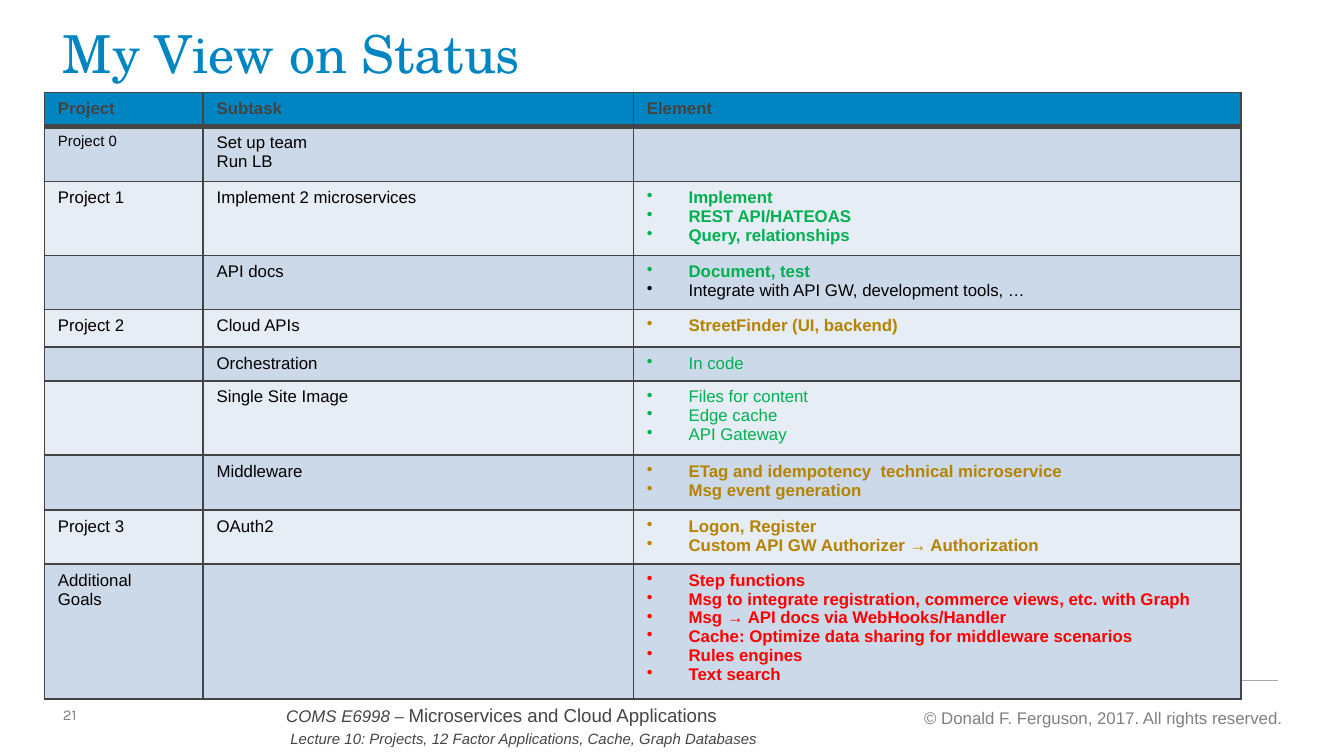
from lxml import etree
from pptx import Presentation
from pptx.dml.color import RGBColor
from pptx.enum import shapes, text
from pptx.oxml import parse_xml
from pptx.oxml.ns import nsdecls, qn
from pptx.util import Cm, Pt

BLUE, GREY, LIGHT_GREY = "0085C3", "444444", "808080"
BLACK, GREEN, AMBER, RED = "000000", "00B050", "B58300", "FF0000"
BANDS = ["E7EDF5", "CCD9E9"]

HEADINGS = ["Project", "Subtask", "Element"]
COLUMN_WIDTHS = [3, 8.13, 11.48]
HEADER_HEIGHT = 0.61

# height, project, subtask lines, elements as (text, colour, bold)
STATUS = [
    (1.04, "Project 0", ["Set up team", "Run LB"], []),
    (1.32, "Project 1", ["Implement 2 microservices"],
     [("Implement", GREEN, True),
      ("REST API/HATEOAS", GREEN, True),
      ("Query, relationships", GREEN, True)]),
    (0.97, "", ["API docs"],
     [("Document, test", GREEN, True),
      ("Integrate with API GW, development tools, …", BLACK, False)]),
    (0.71, "Project 2", ["Cloud APIs"],
     [("StreetFinder (UI, backend)", AMBER, True)]),
    (0.64, "", ["Orchestration"], [("In code", GREEN, False)]),
    (1.32, "", ["Single Site Image"],
     [("Files for content", GREEN, False),
      ("Edge cache", GREEN, False),
      ("API Gateway", GREEN, False)]),
    (1.04, "", ["Middleware"],
     [("ETag and idempotency  technical microservice", AMBER, True),
      ("Msg event generation", AMBER, True)]),
    (1.02, "Project 3", ["OAuth2"],
     [("Logon, Register", AMBER, True),
      ("Custom API GW Authorizer → Authorization", AMBER, True)]),
    (2.4, "Additional\nGoals", [],
     [("Step functions", RED, True),
      ("Msg to integrate registration, commerce views, etc. with Graph", RED, True),
      ("Msg → API docs via WebHooks/Handler", RED, True),
      ("Cache: Optimize data sharing for middleware scenarios", RED, True),
      ("Rules engines", RED, True),
      ("Text search", RED, True)]),
]


def rgb(value):
    return RGBColor.from_string(value)


def add_run(p, content, size, color, font="Arial", bold=False, italic=False):
    """Add a run; a newline in the content becomes a line break."""
    for i, line in enumerate(content.split("\n")):
        if i:
            p.add_line_break()
        r = p.add_run()
        r.text = line
        r.font.name = font
        r.font.size = Pt(size)
        r.font.bold = bold
        r.font.italic = italic
        r.font.color.rgb = rgb(color)


def add_text(slide, left, top, width, height, anchor=text.MSO_ANCHOR.TOP):
    """Add a text box without margins and return its first paragraph."""
    box = slide.shapes.add_textbox(Cm(left), Cm(top), Cm(width), Cm(height))
    tf = box.text_frame
    tf.word_wrap = True
    tf.vertical_anchor = anchor
    tf.margin_left = tf.margin_right = tf.margin_top = tf.margin_bottom = 0
    return tf.paragraphs[0]


def add_rule(slide, left, right, y):
    line = slide.shapes.add_connector(
        shapes.MSO_CONNECTOR.STRAIGHT, Cm(left), Cm(y), Cm(right), Cm(y))
    line.line.color.rgb = rgb("AAAAAA")
    line.line.width = Pt(0.75)
    etree.SubElement(line._element.spPr, qn("a:effectLst"))


def set_bullet(p):
    pPr = p._p.get_or_add_pPr()
    pPr.set("marL", str(Cm(0.79)))
    pPr.set("indent", str(-Cm(0.79)))
    etree.SubElement(pPr, qn("a:buChar")).set("char", "•")


def style_cell(cell, fill, widths):
    """Fill the cell and draw its left, right, top and bottom borders."""
    tcPr = cell._tc.get_or_add_tcPr()
    for side, width in zip("LRTB", widths):
        tcPr.append(parse_xml(
            f'<a:ln{side} {nsdecls("a")} w="{Pt(width)}"><a:solidFill>'
            f'<a:srgbClr val="{GREY}"/></a:solidFill></a:ln{side}>'))
    cell.fill.solid()
    cell.fill.fore_color.rgb = rgb(fill)


def fill_cell(cell, entries, size=9, bulleted=False):
    """Write one paragraph for each (text, colour, bold) entry."""
    tf = cell.text_frame
    for i, (content, color, bold) in enumerate(entries):
        p = tf.add_paragraph() if i else tf.paragraphs[0]
        if bulleted:
            set_bullet(p)
        add_run(p, content, size, color, bold=bold)
    if not entries:
        end = etree.SubElement(tf.paragraphs[0]._p, qn("a:endParaRPr"))
        end.set("sz", str(size * 100))


def add_status_table(slide):
    heights = [HEADER_HEIGHT] + [row[0] for row in STATUS]
    table = slide.shapes.add_table(
        len(heights), len(HEADINGS), Cm(0.84), Cm(1.75),
        Cm(sum(COLUMN_WIDTHS)), Cm(sum(heights))).table
    for column, width in zip(table.columns, COLUMN_WIDTHS):
        column.width = Cm(width)
    for row, height in zip(table.rows, heights):
        row.height = Cm(height)

    for col, heading in enumerate(HEADINGS):
        cell = table.cell(0, col)
        style_cell(cell, BLUE, (1, 1, 1, 3))
        fill_cell(cell, [(heading, GREY, True)])

    for n, (_, project, subtasks, elements) in enumerate(STATUS, 1):
        cells = [table.cell(n, col) for col in range(len(HEADINGS))]
        for cell in cells:
            style_cell(cell, BANDS[n % 2], (1, 1, 3 if n == 1 else 1, 1))
        fill_cell(cells[0], [(project, BLACK, False)] if project else [],
                  size=8 if n == 1 else 9)
        fill_cell(cells[1], [(line, BLACK, False) for line in subtasks])
        fill_cell(cells[2], elements, bulleted=True)


def add_footer(slide):
    p = add_text(slide, 1.19, 13.36, 0.74, 0.33, text.MSO_ANCHOR.MIDDLE)
    p.line_spacing = 0.9
    add_run(p, "21", 8, LIGHT_GREY, "Karla")

    p = add_text(slide, 16.61, 13.36, 7.62, 0.38)
    p.alignment = text.PP_ALIGN.RIGHT
    add_run(p, "© Donald F. Ferguson, 2017. All rights reserved.", 9, LIGHT_GREY)

    p = add_text(slide, 5.41, 13.21, 11.71, 0.91)
    p.line_spacing = 1.2
    add_run(p, "COMS E6998 – ", 9, GREY, italic=True)
    add_run(p, "Microservices and Cloud Applications", 10, GREY)
    p.add_line_break()
    add_run(p, " Lecture 10: Projects, 12 Factor Applications, Cache, Graph Databases",
            8, GREY, italic=True)

    add_rule(slide, 1.22, 24.16, 12.85)


def main():
    prs = Presentation()
    prs.slide_width, prs.slide_height = Cm(25.4), Cm(14.28)
    slide = prs.slides.add_slide(prs.slide_layouts[6])
    add_footer(slide)
    title = add_text(slide, 1.19, 0.53, 23.01, 1.07)
    title.line_spacing = 0.9
    add_run(title, "My View on Status", 28, BLUE, "TeX Gyre Schola")
    add_status_table(slide)
    prs.save("out.pptx")


if __name__ == "__main__":
    main()
